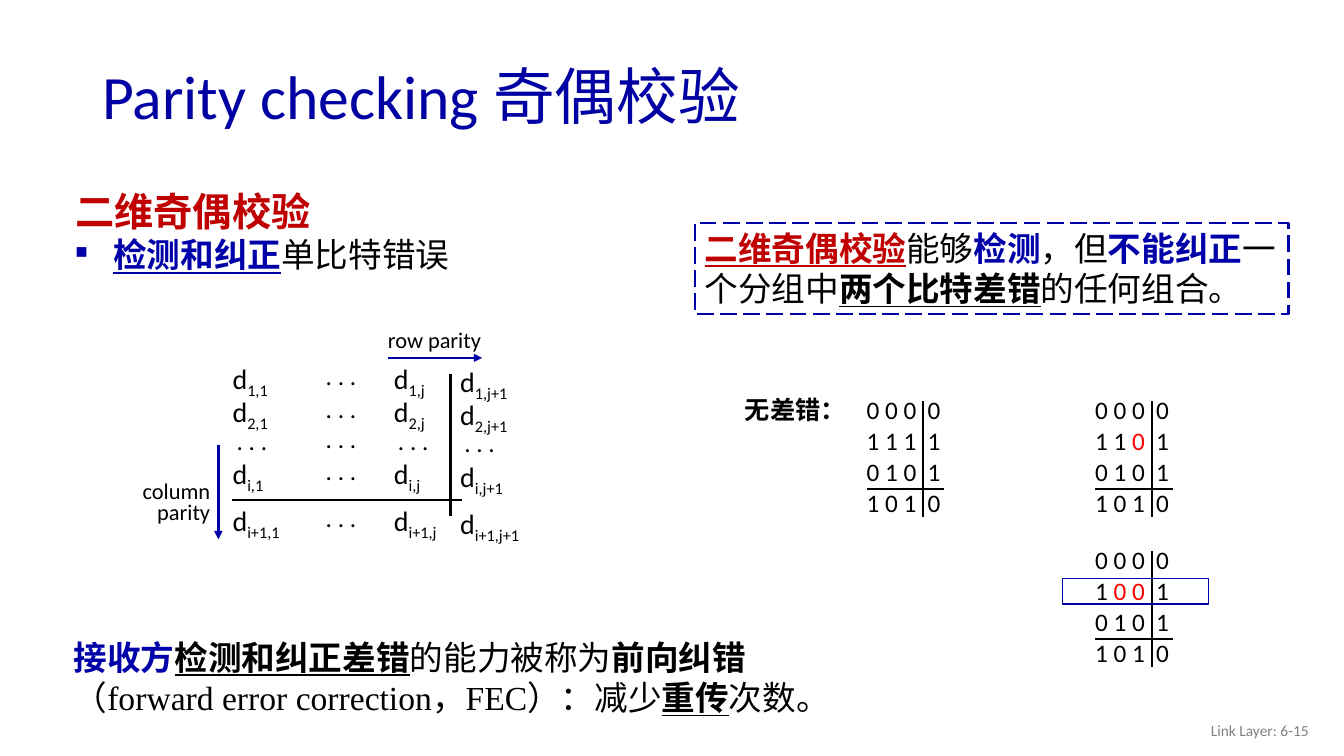
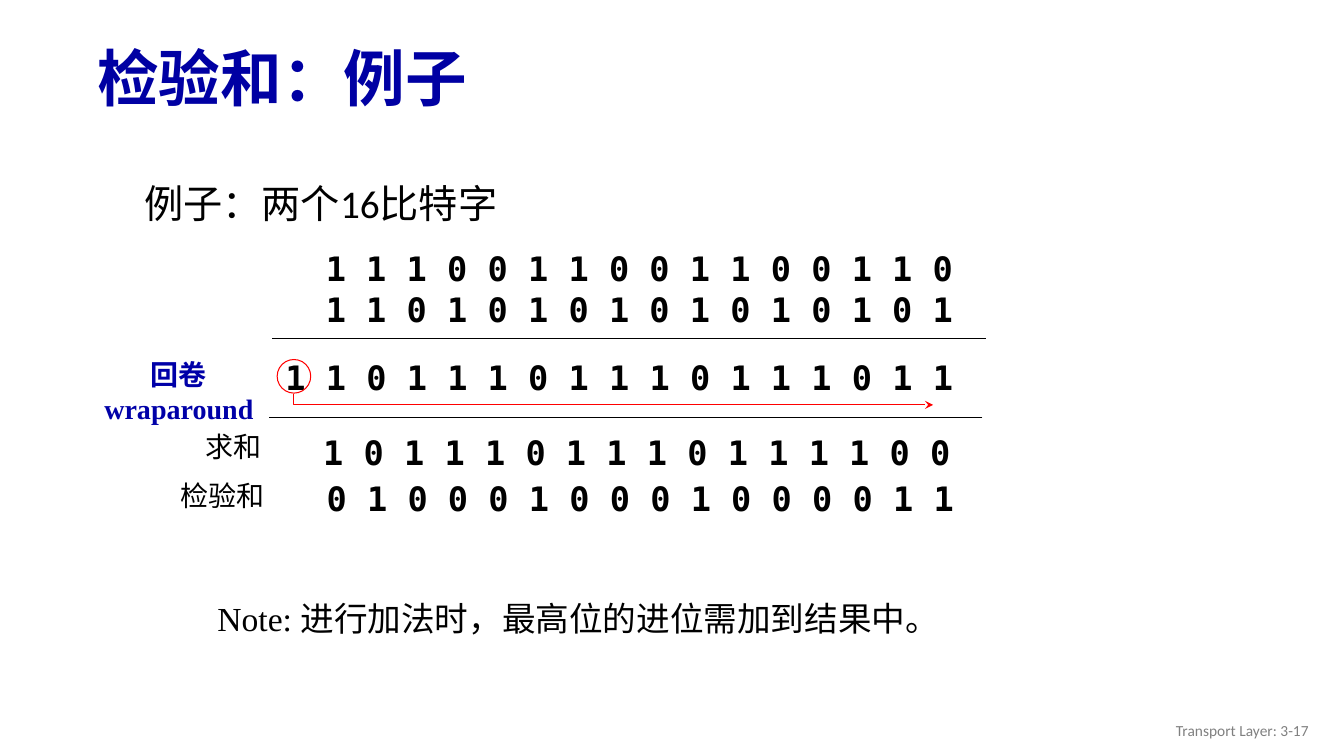
from dataclasses import dataclass

from lxml import etree
from pptx import Presentation
from pptx.dml.color import RGBColor as RGB
from pptx.enum.dml import MSO_LINE
from pptx.enum.lang import MSO_LANGUAGE_ID as LANG
from pptx.enum.shapes import MSO_CONNECTOR as CONN, MSO_SHAPE as SHAPE
from pptx.enum.text import MSO_ANCHOR as ANCHOR, PP_ALIGN as ALIGN
from pptx.oxml.ns import qn
from pptx.util import Inches, Pt

COLS, ROWS = 80, 45
WIDTH, HEIGHT = Inches(13.33), Inches(7.5)


@dataclass(frozen=True)
class Theme:
    title_blue: str = "0000A3"
    blue: str = "0000A8"
    dark_red: str = "C00000"
    red: str = "FF0000"
    black: str = "000000"
    gray: str = "808080"
    sans: str = "Calibri"
    plain: str = "Arial"
    serif: str = "Times New Roman"
    mono: str = "DejaVu Sans Mono"
    title: int = 44
    heading: int = 28
    body: int = 24
    cell: int = 20
    bits: int = 18
    label: int = 16
    footer: int = 11


T = Theme()


def col(n):
    return round(WIDTH * n / COLS)


def row(n):
    return round(HEIGHT * n / ROWS)


def run(text, **style):
    return text, style


def sub_element(parent, tag, **attrs):
    return etree.SubElement(parent, qn(tag), {k: str(v) for k, v in attrs.items()})


class Deck:
    """Slides on a grid of COLS by ROWS cells; every box is (x, y, width, height)."""

    def __init__(self):
        self.prs = Presentation()
        self.prs.slide_width, self.prs.slide_height = WIDTH, HEIGHT
        self.s = None

    def slide(self, title, title_at, footer):
        self.s = self.prs.slides.add_slide(self.prs.slide_layouts[6])
        self.text(title_at, title, T.title, color=T.title_blue,
                  anchor=ANCHOR.MIDDLE, spacing=0.9)
        self.text((60.5, 42.3, 18, 2.4), [run(footer)], T.footer, color=T.gray,
                  anchor=ANCHOR.MIDDLE, align=ALIGN.RIGHT)

    def text(self, at, *args, **style):
        """Add a text box; a paragraph is a list of runs, and args end with the size."""
        x, y, w, h = at
        sp = self.s.shapes.add_textbox(col(x), row(y), col(w), row(h))
        self.set_text(sp, *args, **style)
        return sp

    def set_text(self, sp, *args, font=T.sans, color=T.black, bold=False,
                 align=ALIGN.LEFT, anchor=ANCHOR.TOP, spacing=None):
        *paragraphs, size = args
        tf = sp.text_frame
        tf.word_wrap = True
        tf.vertical_anchor = anchor
        for i, runs in enumerate(paragraphs):
            p = tf.add_paragraph() if i else tf.paragraphs[0]
            p.alignment = align
            if spacing:
                p.line_spacing = spacing
            for words, style in runs:
                r = p.add_run()
                r.text = words
                f = r.font
                f.name = style.get("font", font)
                f.size = Pt(style.get("size", size))
                f.bold = style.get("bold", bold)
                f.underline = style.get("underline", False)
                f.color.rgb = RGB.from_string(style.get("color", color))
                f.language_id = LANG.SIMPLIFIED_CHINESE
                if "baseline" in style:
                    r.font._element.set("baseline", str(style["baseline"]))

    def bullet(self, p, indent):
        pPr = p._p.get_or_add_pPr()
        pPr.set("marL", str(col(indent)))
        pPr.set("indent", str(-col(indent)))
        sub_element(pPr, "a:buSzPct", val=50000)
        sub_element(pPr, "a:buChar", char="■")

    def outline(self, sp, color, width, arrow=None):
        sp.line.color.rgb = RGB.from_string(color)
        sp.line.width = Pt(width)
        if arrow:
            sub_element(sp.element.spPr.find(qn("a:ln")), "a:tailEnd", type=arrow)

    def line(self, x1, y1, x2, y2, width, color=T.black, arrow=None):
        c = self.s.shapes.add_connector(CONN.STRAIGHT, col(x1), row(y1), col(x2), row(y2))
        self.outline(c, color, width, arrow)
        sub_element(c.element.spPr, "a:effectLst")

    def frame(self, kind, at, color, width):
        """Add an unfilled, outlined shape."""
        x, y, w, h = at
        sp = self.s.shapes.add_shape(kind, col(x), row(y), col(w), row(h))
        sp.shadow.inherit = False
        sp.fill.background()
        self.outline(sp, color, width)
        return sp

    def route(self, points, color, width, arrow):
        """Add an open bent line through the points."""
        first, *rest = [(col(x), row(y)) for x, y in points]
        fb = self.s.shapes.build_freeform(*first)
        fb.add_line_segments(rest, close=False)
        sp = fb.convert_to_shape()
        sp.shadow.inherit = False
        sp.fill.background()
        self.outline(sp, color, width, arrow)

    def parity_block(self, x, y, rows, errors=()):
        """Add four rows of bits; errors holds the (row, column) of flipped bits."""
        for i, bits in enumerate(rows):
            runs = []
            for j, bit in enumerate(bits):
                gap = ("", " ", " ", "\t")[j]
                color = T.red if (i, j) in errors else T.black
                runs.append(run(gap + bit, color=color))
            sp = self.text((x, y + 1.85 * i, 6.2, 2.4), runs, T.bits)
            pPr = sp.text_frame.paragraphs[0]._p.get_or_add_pPr()
            sub_element(sub_element(pPr, "a:tabLst"), "a:tab", pos=col(3.63), algn="l")
        self.line(x + 0.6, y + 5.95, x + 5.22, y + 5.95, 1.5)
        self.line(x + 3.95, y + 7.6, x + 3.95, y + 0.7, 1.5)


def parity_matrix(d):
    columns = [(13.25, 0, "1"), (18.8, -0.1, None), (22.85, 0, "j"), (26.8, 0.15, "j+1")]
    rows = [(21.25, "1"), (23.2, "2"), (25, None), (26.9, "i"), (29.7, "i+1")]
    for x, drop, across in columns:
        for y, down in rows:
            if across and down:
                runs = [run("d"), run(f"{down},{across}", baseline=-25000)]
                d.text((x, y + drop, 6, 2.64), runs, T.cell)
            else:
                shift = 0.25 if across else 0
                d.text((x + shift, y + drop, 4.2, 2.4), [run(". . .")], T.bits)
    d.line(13.8, 29.76, 27.48, 29.76, 2)
    d.line(26.82, 30.72, 26.82, 22.26, 2)
    d.text((22.5, 19.1, 7.2, 2.2), [run("row parity")], T.label)
    d.text((7.1, 28.4, 6, 3.24), [run("column")], [run("parity")], T.label,
           align=ALIGN.RIGHT, spacing=0.8)
    d.line(23.1, 21.3, 28.7, 21.3, 1.75, T.blue, "triangle")
    d.line(13, 26.46, 13, 32.1, 1.75, T.blue, "triangle")


def parity_slide(d):
    d.slide([run("Parity checking "), run("奇偶校验", font=T.plain)],
            (5.5, 2.95, 69, 5.9), "Link Layer: 6-15")
    sp = d.text((3.9, 10.85, 25, 5.9),
                [run("二维奇偶校验", size=T.heading, color=T.dark_red, bold=True)],
                [run("检测和纠正", color=T.blue, bold=True, underline=True),
                 run("单比特错误")],
                T.body, font=T.serif)
    d.bullet(sp.text_frame.paragraphs[1], 2.25)
    parity_matrix(d)

    sp = d.frame(SHAPE.RECTANGLE, (41.35, 13.25, 35.35, 5.45), T.blue, 1.5)
    sp.line.dash_style = MSO_LINE.LONG_DASH
    d.set_text(sp, [run("二维奇偶校验", font=T.serif, color=T.dark_red, bold=True, underline=True),
                    run("能够"), run("检测", color=T.blue, bold=True),
                    run("，但"), run("不能纠正", color=T.blue, bold=True),
                    run("一个分组中"), run("两个比特差错", bold=True, underline=True),
                    run("的任何组合。")], T.body)

    d.text((43.75, 23.15, 7.4, 2.4), [run("无差错：")], T.bits, bold=True)
    d.parity_block(51, 23.15, ("0000", "1111", "0101", "1010"))
    d.parity_block(64.6, 23.15, ("0000", "1101", "0101", "1010"), {(1, 2)})
    d.parity_block(64.6, 32.1, ("0000", "1001", "0101", "1010"), {(1, 1), (1, 2)})
    d.frame(SHAPE.RECTANGLE, (63.25, 34.45, 8.7, 1.5), T.blue, 1)

    d.text((3.8, 37.6, 44.95, 5.45),
           [run("接收方", color=T.blue, bold=True),
            run("检测和纠正差错", bold=True, underline=True),
            run("的能力被称为"), run("前向纠错", bold=True),
            run("（forward error correction，FEC）：减少"),
            run("重传", bold=True, underline=True), run("次数。")],
           T.body, font=T.serif)


def checksum_slide(d):
    d.slide([run("检验和：例子", bold=True)], (5.2, 1.9, 72.8, 5.9), "Transport Layer: 3-17")
    d.text((8, 10.4, 51, 4), [run("例子：两个16比特字")], T.heading)
    words = [(18.8, 14.45, "1110011001100110"),
             (18.8, 16.9, "1101010101010101"),
             (16.4, 20.95, "11011101110111011"),
             (18.65, 25.4, "1011101110111100"),
             (18.85, 28.15, "0100010001000011")]
    for x, y, bits in words:
        d.text((x, y, 43, 3), [run(" ".join(bits))], T.body, font=T.mono, bold=True)
    for x, y in ((16.2, 20.16), (16, 24.84)):
        d.line(x + 42.48, y, x, y, 1)

    d.frame(SHAPE.OVAL, (16.5, 21.4, 2, 2), T.red, 0.75)
    d.route([(17.5, 23.45), (17.5, 24.1), (55.55, 24.1)], T.red, 0.75, "stealth")
    d.text((5.6, 21, 10.1, 4.6), [run("回卷")], [run("wraparound")], T.cell,
           font=T.serif, color=T.blue, bold=True, align=ALIGN.CENTER)
    for x, y, label in ((11.64, 25.3, "求和"), (10.14, 28.2, "检验和")):
        d.text((x, y, 6.6, 2.64), [run(label)], T.cell, font=T.plain)
    d.text((12.35, 35.3, 67, 3), [run("Note: 进行加法时，最高位的进位需加到结果中。")],
           T.body, font=T.serif)


def main():
    d = Deck()
    parity_slide(d)
    checksum_slide(d)
    d.prs.save("out.pptx")


if __name__ == "__main__":
    main()
